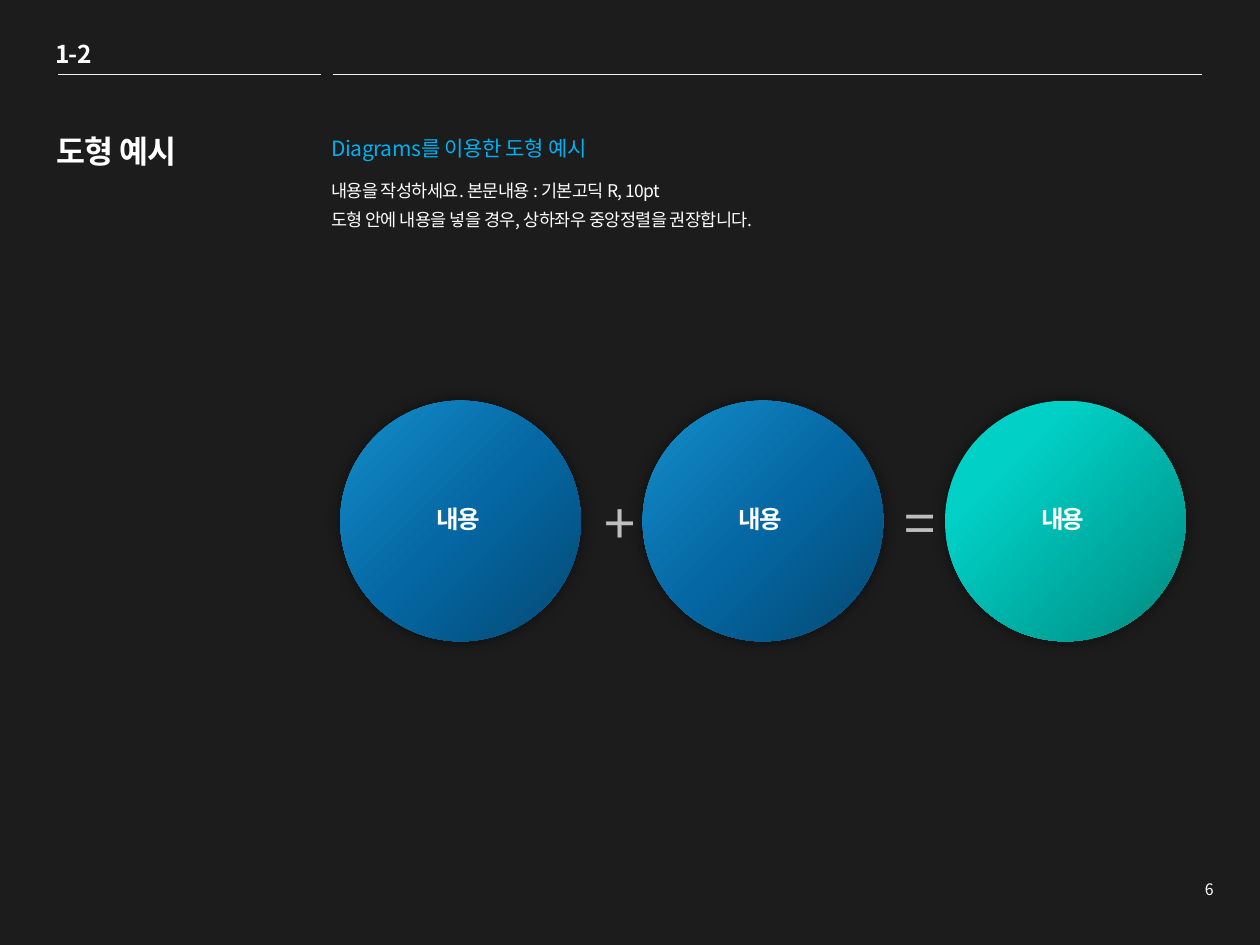
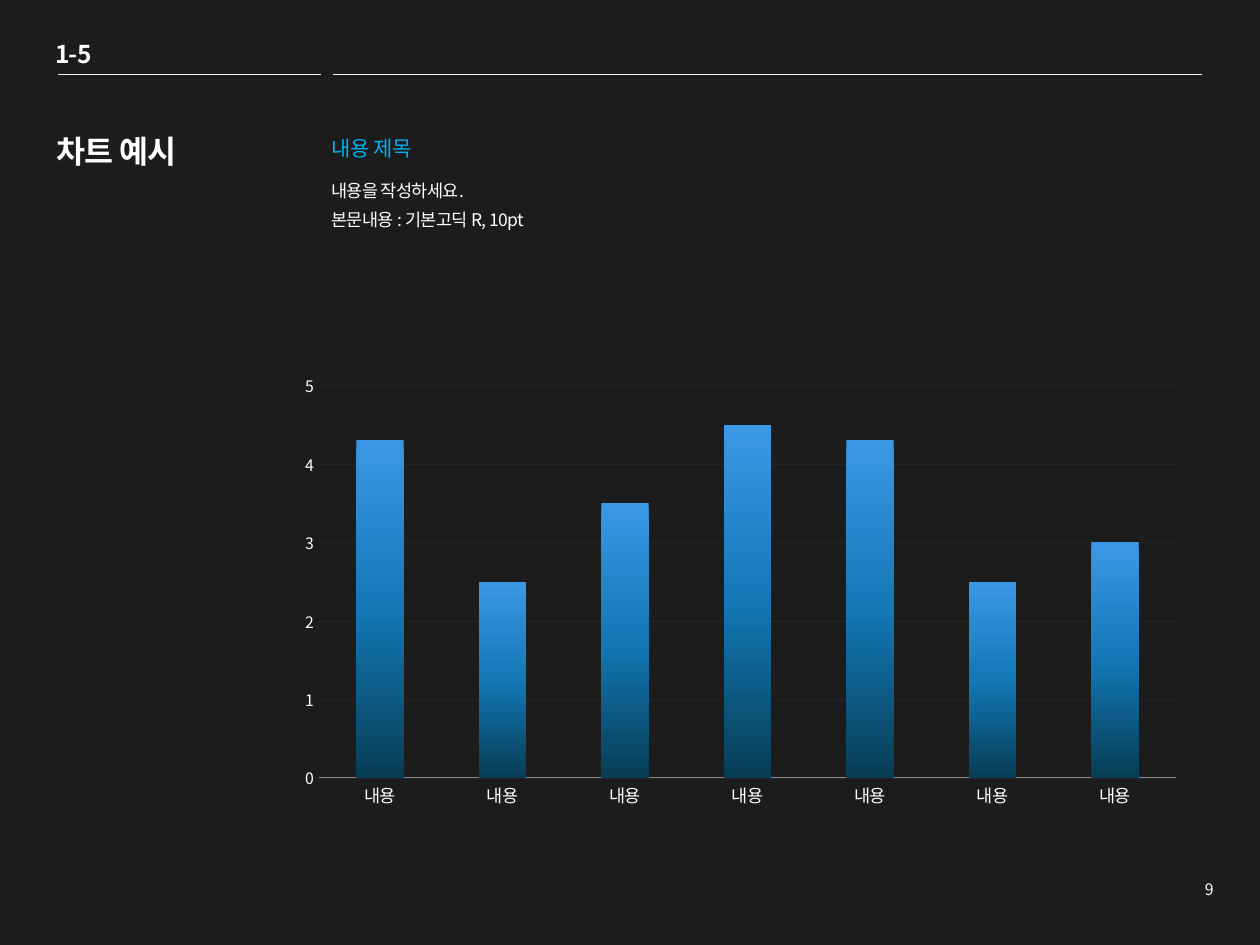
import pptx
import pptx.util
import pptx.chart.data
import pptx.dml.color
import pptx.enum.chart
import pptx.enum.shapes
import pptx.enum.text
import pptx.oxml
import pptx.oxml.ns
from lxml import etree

Inches = pptx.util.Inches
Pt = pptx.util.Pt
qn = pptx.oxml.ns.qn
Align = pptx.enum.text.PP_ALIGN

# Content
SHAPES_SLIDE = {
    "section": "1-2", "title": "도형 예시", "title_width": 2.05, "page": "6",
    "heading": "Diagrams를 이용한 도형 예시",
    "body": ["내용을 작성하세요. 본문내용 : 기본고딕 R, 10pt",
             "도형 안에 내용을 넣을 경우, 상하좌우 중앙정렬을 권장합니다."],
}
CHART_SLIDE = {
    "section": "1-5", "title": "차트 예시", "title_width": 1.73, "page": "9",
    "heading": "내용 제목",
    "body": ["내용을 작성하세요.", "본문내용 : 기본고딕 R, 10pt"],
}
BLUE_STOPS = [(0, "034973"), (50, "0568A4"), (100, "148DCA")]
TEAL_STOPS = [(0, "008A80"), (74, "00D0C6")]
BAR_STOPS = [(0, "3A98E6"), (50, "1278B6"), (100, "073D55")]
CIRCLES = [("내용", BLUE_STOPS), ("내용", BLUE_STOPS), ("내용", TEAL_STOPS)]
OPERATORS = ["+", "="]
CATEGORIES = ["내용"] * 7
VALUES = [4.3, 2.5, 3.5, 4.5, 4.3, 2.5, 3]

# Shared style
FONT = "Noto Sans CJK KR"
BACKGROUND, WHITE, ACCENT = "1C1C1C", "FFFFFF", "00B0F0"
RULE, OPERATOR, AXIS, GRID = "F2F2F2", "BFBFBF", "868686", "262626"
RULE_TOP = 0.59
RULE_SPANS = [(0.46, 2.55), (2.64, 9.54)]

# Circle row
CIRCLE_LEFT, CIRCLE_TOP, CIRCLE_SIZE, CIRCLE_PITCH = 2.7, 3.18, 1.91, 2.4
LABEL_LEFT, LABEL_TOP = 2.99, 3.95
OPERATOR_LEFT, OPERATOR_TOP, OPERATOR_PITCH = 4.7, 3.72, 2.38


def color(value):
    return pptx.dml.color.RGBColor.from_string(value)


def set_font(font, size, value, bold=False):
    font.name = FONT
    font.size = Pt(size)
    font.bold = bold
    font.color.rgb = color(value)


def write(text_frame, lines, size, value, bold=False, kerning=0.0,
          align=Align.LEFT, line_spacing=None):
    for index, line in enumerate(lines):
        paragraph = text_frame.paragraphs[0] if index == 0 else text_frame.add_paragraph()
        paragraph.alignment = align
        if line_spacing:
            paragraph.line_spacing = line_spacing
        run = paragraph.add_run()
        run.text = line
        set_font(run.font, size, value, bold)
        properties = run._r.get_or_add_rPr()
        properties.set("spc", str(round(kerning * 100)))
        etree.SubElement(properties, qn("a:ea")).set("typeface", FONT)


def add_text(slide, box, lines, size, value, wrap=True, **style):
    shape = slide.shapes.add_textbox(*map(Inches, box))
    shape.text_frame.word_wrap = wrap
    shape.text_frame.auto_size = pptx.enum.text.MSO_AUTO_SIZE.SHAPE_TO_FIT_TEXT
    write(shape.text_frame, lines, size, value, **style)


def fill_gradient(fill, properties, stops, radial=False):
    """Fill with the given stops, downwards or out of the lower right corner."""
    fill.gradient()
    gradient = properties.find(qn("a:gradFill"))
    for child in list(gradient):
        gradient.remove(child)
    stop_list = etree.SubElement(gradient, qn("a:gsLst"))
    for position, value in stops:
        stop = etree.SubElement(stop_list, qn("a:gs"), pos=str(position * 1000))
        etree.SubElement(stop, qn("a:srgbClr"), val=value)
    if radial:
        shade = etree.SubElement(gradient, qn("a:path"))
        shade.set("path", "circle")
        etree.SubElement(shade, qn("a:fillToRect"), l="100000", t="100000")
    else:
        etree.SubElement(gradient, qn("a:lin"), ang="5400000", scaled="0")


def add_rule(slide, start, end):
    line = slide.shapes.add_connector(
        pptx.enum.shapes.MSO_CONNECTOR.STRAIGHT,
        Inches(start), Inches(RULE_TOP), Inches(end), Inches(RULE_TOP))
    line.line.color.rgb = color(RULE)
    line.line.width = Pt(0.25)
    etree.SubElement(line._element.spPr, qn("a:effectLst"))


def add_slide(presentation, content):
    """Add a slide with its header, title, introduction and page number."""
    slide = presentation.slides.add_slide(presentation.slide_layouts[0])
    subtitle = slide.placeholders[1]._element
    subtitle.getparent().remove(subtitle)

    title = slide.shapes.title
    title.left, title.top = Inches(0.35), Inches(1)
    title.width, title.height = Inches(content["title_width"]), Inches(1.61)
    title.text_frame.vertical_anchor = pptx.enum.text.MSO_ANCHOR.TOP
    title.text_frame.auto_size = pptx.enum.text.MSO_AUTO_SIZE.NONE
    write(title.text_frame, [content["title"]], 18, WHITE, bold=True, kerning=-0.5)

    add_text(slide, (0.34, 0.26, 0.49, 0.34), [content["section"]], 14, WHITE,
             wrap=False, bold=True, kerning=-0.5)
    for start, end in RULE_SPANS:
        add_rule(slide, start, end)
    add_text(slide, (2.53, 1.03, 5.32, 0.3), [content["heading"]], 12, ACCENT,
             kerning=-0.2)
    add_text(slide, (2.53, 1.31, 6.11, 0.57), content["body"], 10, WHITE,
             kerning=-0.3, line_spacing=1.4)
    add_text(slide, (9.45, 6.93, 0.28, 0.25), [content["page"]], 9, WHITE,
             wrap=False, align=Align.RIGHT)
    return slide


def add_circle(slide, left, stops):
    circle = slide.shapes.add_shape(
        pptx.enum.shapes.MSO_SHAPE.OVAL, Inches(left), Inches(CIRCLE_TOP),
        Inches(CIRCLE_SIZE), Inches(CIRCLE_SIZE))
    properties = circle._element.spPr
    fill_gradient(circle.fill, properties, stops, radial=True)
    circle.line.fill.background()
    circle.shadow.inherit = False
    shadow = etree.SubElement(properties.find(qn("a:effectLst")), qn("a:outerShdw"),
                              blurRad=str(Pt(8)), dist="0", dir="3000000")
    shade = etree.SubElement(shadow, qn("a:srgbClr"), val="000000")
    etree.SubElement(shade, qn("a:alpha"), val="52000")


def add_circle_equation(slide):
    for index, (label, stops) in enumerate(CIRCLES):
        offset = index * CIRCLE_PITCH
        add_circle(slide, CIRCLE_LEFT + offset, stops)
        add_text(slide, (LABEL_LEFT + offset, LABEL_TOP, 1.29, 0.34), [label], 14,
                 WHITE, bold=True, kerning=-1, align=Align.CENTER)
    for index, sign in enumerate(OPERATORS):
        left = OPERATOR_LEFT + index * OPERATOR_PITCH
        add_text(slide, (left, OPERATOR_TOP, 0.3, 0.69), [sign], 32, OPERATOR,
                 kerning=-0.5, align=Align.CENTER, line_spacing=1.2)


def set_plot_layout(chart, **fractions):
    """Fix the inner plot area as fractions of the chart frame."""
    plot_area = chart._chartSpace.chart.plotArea
    for layout in plot_area.findall(qn("c:layout")):
        plot_area.remove(layout)
    layout = etree.Element(qn("c:layout"))
    plot_area.insert(0, layout)
    manual = etree.SubElement(layout, qn("c:manualLayout"))
    settings = {"layoutTarget": "inner", "xMode": "edge", "yMode": "edge", **fractions}
    for name, value in settings.items():
        etree.SubElement(manual, qn("c:" + name), val=str(value))


def add_column_chart(slide):
    data = pptx.chart.data.CategoryChartData()
    data.categories = CATEGORIES
    data.add_series("Series 1", VALUES)
    chart = slide.shapes.add_chart(
        pptx.enum.chart.XL_CHART_TYPE.COLUMN_CLUSTERED,
        Inches(2.24), Inches(2.88), Inches(7.24), Inches(3.58), data).chart
    chart.has_legend = False
    chart.has_title = False
    set_font(chart.font, 18, "000000")
    set_plot_layout(chart, x=0.04, y=0.05, w=0.94, h=0.87)

    # Bars
    plot = chart.plots[0]
    plot.gap_width = 160
    plot.vary_by_categories = False
    series = plot.series[0]
    series.invert_if_negative = False
    fill = series.format.fill
    fill_gradient(fill, series._element.get_or_add_spPr(), BAR_STOPS)

    # Axes
    for axis, size in ((chart.category_axis, 10), (chart.value_axis, 9)):
        axis.major_tick_mark = pptx.enum.chart.XL_TICK_MARK.NONE
        axis.minor_tick_mark = pptx.enum.chart.XL_TICK_MARK.NONE
        set_font(axis.tick_labels.font, size, WHITE)
    chart.category_axis.format.line.color.rgb = color(AXIS)
    value_axis = chart.value_axis
    value_axis.minimum_scale, value_axis.maximum_scale = 0, 5
    value_axis.major_unit = 1
    value_axis.format.line.fill.background()
    value_axis.has_major_gridlines = True
    value_axis.major_gridlines.format.line.color.rgb = color(GRID)
    value_axis.major_gridlines.format.line.width = Pt(0.25)


def main():
    presentation = pptx.Presentation()
    presentation.slide_width, presentation.slide_height = Inches(10), Inches(7.5)
    background = presentation.slide_master.background.fill
    background.solid()
    background.fore_color.rgb = color(BACKGROUND)

    add_circle_equation(add_slide(presentation, SHAPES_SLIDE))
    add_column_chart(add_slide(presentation, CHART_SLIDE))
    presentation.save("out.pptx")


if __name__ == "__main__":
    main()
